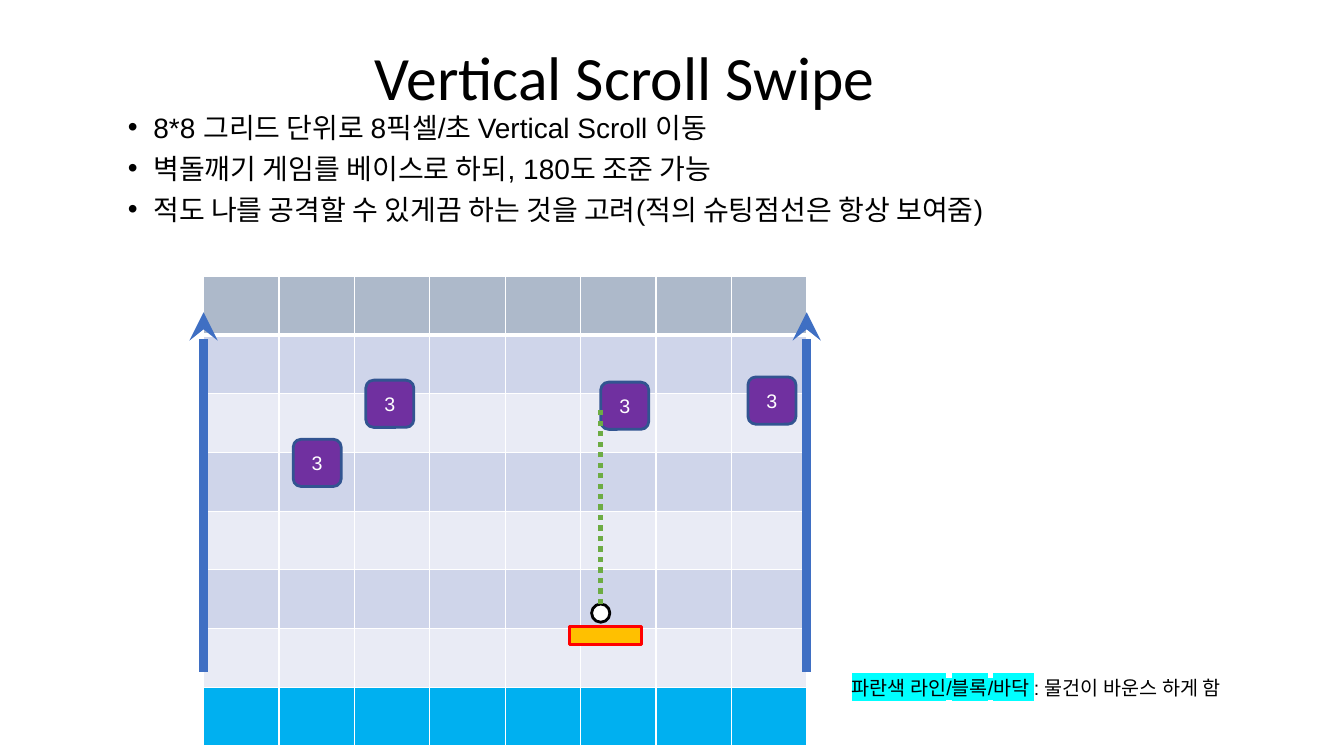
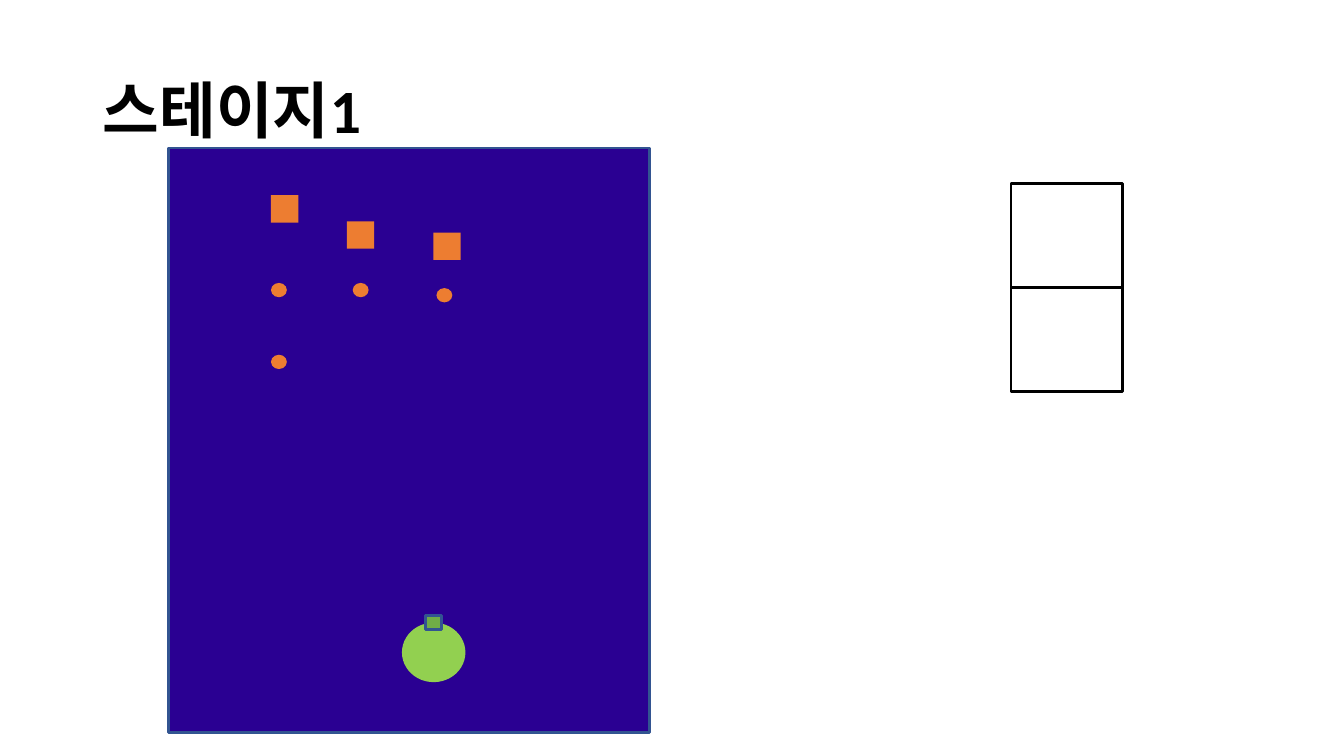
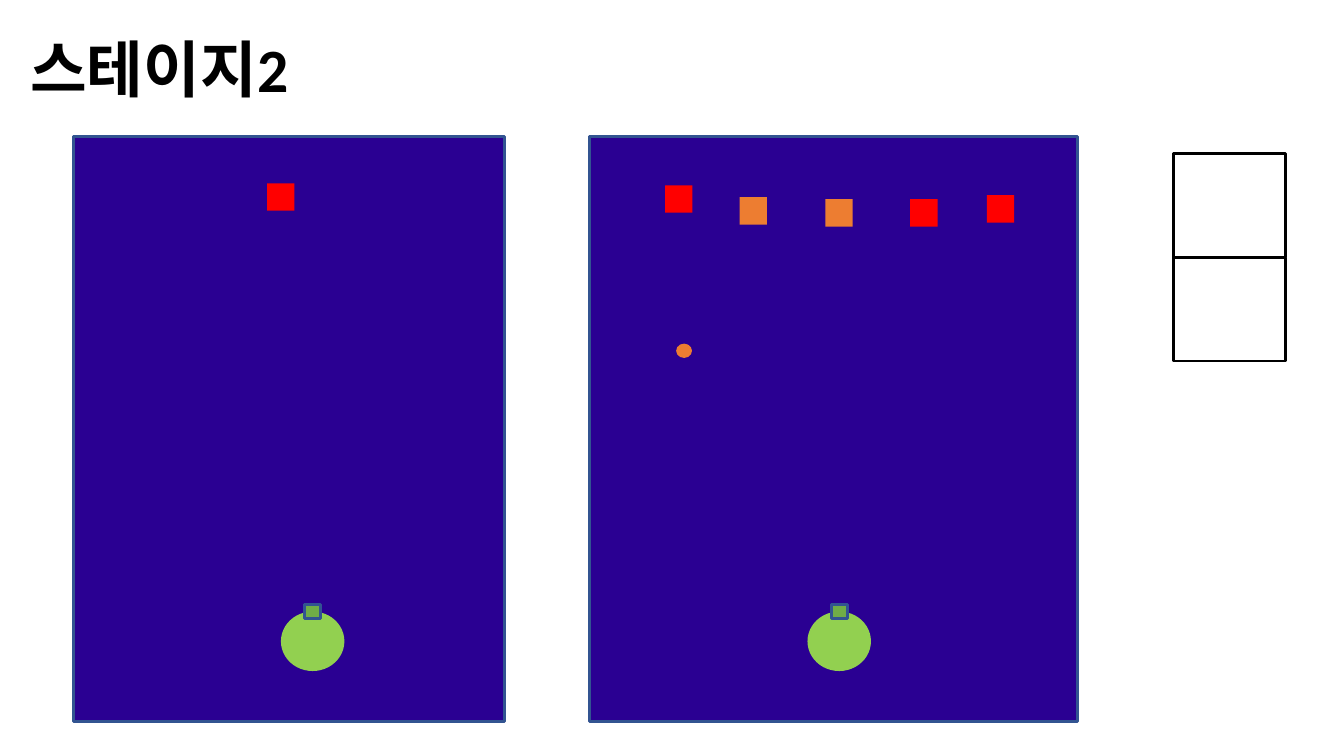
import pptx
import pptx.util
import pptx.dml.color
import pptx.enum.dml
import pptx.enum.shapes
import pptx.enum.text
import pptx.oxml
from dataclasses import dataclass

Cm = pptx.util.Cm
SHAPE = pptx.enum.shapes.MSO_SHAPE
ALIGN = pptx.enum.text.PP_ALIGN
ANCHOR = pptx.enum.text.MSO_ANCHOR
DRAWING_NS = 'xmlns:a="http://schemas.openxmlformats.org/drawingml/2006/main"'


@dataclass(frozen=True)
class Theme:
    heading_font: str = "Calibri"
    body_font: str = "Arial"
    title_size: float = 44
    list_size: float = 20
    label_size: float = 14
    outline_width: float = 2
    black: str = "000000"
    white: str = "FFFFFF"
    outline: str = "325491"
    red: str = "FF0000"
    orange: str = "ED7D31"
    field: str = "2A0092"
    tank: str = "92D050"
    turret: str = "70AD47"
    brick: str = "7030A0"
    paddle: str = "FFC000"
    rail: str = "3F6FC3"
    aim: str = "6DAC43"
    sky: str = "ADB9CA"
    sea: str = "00B0F0"
    row_dark: str = "CFD5EA"
    row_light: str = "E9EBF5"
    highlight: str = "00FFFF"


THEME = Theme()
TITLE_SIZE = (29.21, 3.68)
CELL_WIDTH, CELL_HEIGHT, GRID_COUNT = 1.9, 1.48, 8
ENEMY_SIZE = (0.69, 0.69)
SHOT_SIZE = (0.4, 0.36)
TANK_TOP, TANK_WIDTH, TANK_HEIGHT = 11.96, 1.6, 1.5
FIELD_HEIGHT = 14.73


def rgb(value):
    return pptx.dml.color.RGBColor.from_string(value)


def write(frame, text, *, size, font=THEME.body_font, color=THEME.black, bold=False,
          align=ALIGN.LEFT, anchor=ANCHOR.TOP, line_spacing=1.0, space_before=0,
          indent=None, highlighted=""):
    """Fill a text frame, one paragraph per line; a highlighted lead may come first."""
    frame.word_wrap = True
    frame.auto_size = pptx.enum.text.MSO_AUTO_SIZE.NONE
    frame.vertical_anchor = anchor
    for index, line in enumerate(text.split("\n")):
        para = frame.add_paragraph() if index else frame.paragraphs[0]
        para.alignment = align
        para.line_spacing = line_spacing
        para.space_before = pptx.util.Pt(space_before if index else 0)
        if indent:
            properties = para._p.get_or_add_pPr()
            properties.set("marL", str(Cm(indent)))
            properties.set("indent", str(-Cm(indent)))
        lead = highlighted if index == 0 else ""
        for part in filter(None, (lead, line)):
            span = para.add_run()
            span.text = part
            span.font.size = pptx.util.Pt(size)
            span.font.bold = bold
            span.font.color.rgb = rgb(color)
            if part == lead:
                mark = pptx.oxml.parse_xml(
                    f'<a:highlight {DRAWING_NS}><a:srgbClr val="{THEME.highlight}"/></a:highlight>')
                span._r.rPr.append(mark)
            span.font.name = font


def place(box, left, top, width, height):
    box.left, box.top, box.width, box.height = map(Cm, (left, top, width, height))


def add_block(page, kind, left, top, width, height, fill, line=None):
    box = page.shapes.add_shape(kind, Cm(left), Cm(top), Cm(width), Cm(height))
    box.shadow.inherit = False
    box.fill.solid()
    box.fill.fore_color.rgb = rgb(fill)
    if line:
        box.line.color.rgb = rgb(line)
        box.line.width = pptx.util.Pt(THEME.outline_width)
    else:
        box.line.fill.background()
    return box


def add_line(page, start, end, color, width):
    line = page.shapes.add_connector(pptx.enum.shapes.MSO_CONNECTOR.STRAIGHT,
                                     *map(Cm, (*start, *end)))
    line.line.color.rgb = rgb(color)
    line.line.width = pptx.util.Pt(width)
    line._element.spPr.append(pptx.oxml.parse_xml(f'<a:effectLst {DRAWING_NS}/>'))
    return line


def add_page(deck, layout, title, left, top, **title_format):
    page = deck.slides.add_slide(deck.slide_layouts[layout])
    place(page.shapes.title, left, top, *TITLE_SIZE)
    write(page.shapes.title.text_frame, title, size=THEME.title_size,
          font=THEME.heading_font, anchor=ANCHOR.MIDDLE, line_spacing=0.9, **title_format)
    return page


def add_grid(page, left, top):
    """Board cells: sky on top, banded rows, sea at the bottom."""
    grid = page.shapes.add_table(GRID_COUNT, GRID_COUNT, Cm(left), Cm(top),
                                 Cm(CELL_WIDTH * GRID_COUNT),
                                 Cm(CELL_HEIGHT * GRID_COUNT)).table
    bands = [THEME.sky] + [THEME.row_dark, THEME.row_light] * 3 + [THEME.sea]
    for row, color in zip(grid.rows, bands):
        row.height = Cm(CELL_HEIGHT)
        for cell in row.cells:
            cell.fill.solid()
            cell.fill.fore_color.rgb = rgb(color)

    # Thick rule under the sky row
    for cell in grid.rows[0].cells:
        cell._tc.get_or_add_tcPr().insert(0, pptx.oxml.parse_xml(
            f'<a:lnB {DRAWING_NS} w="{pptx.util.Pt(3)}"><a:solidFill>'
            f'<a:srgbClr val="{THEME.white}"/></a:solidFill></a:lnB>'))


def add_board(page, left, top):
    add_grid(page, left, top)

    # Numbered bricks
    bricks = []
    for x, y in ((4.09, 2.62), (10.01, 2.67), (13.72, 2.54), (2.26, 4.11)):
        brick = add_block(page, SHAPE.ROUNDED_RECTANGLE, left + x, top + y, 1.21, 1.19,
                          THEME.brick, THEME.outline)
        write(brick.text_frame, "3", size=THEME.label_size, color=THEME.white,
              align=ALIGN.CENTER, anchor=ANCHOR.MIDDLE)
        bricks.append(brick)

    # Scroll rails on both sides
    for x in (left, left + CELL_WIDTH * GRID_COUNT):
        rail = add_line(page, (x, top + 0.91), (x, top + 9.98), THEME.rail, 6.75)
        rail.line._get_or_add_ln().append(
            pptx.oxml.parse_xml(f'<a:headEnd {DRAWING_NS} type="stealth"/>'))

    # Paddle, ball and aiming line
    add_block(page, SHAPE.RECTANGLE, left + 9.23, top + 8.83, 1.8, 0.46,
              THEME.paddle, THEME.red)
    ball = add_block(page, SHAPE.OVAL, left + 9.78, top + 8.26, 0.46, 0.46,
                     THEME.white, THEME.black)
    aim = add_line(page, (left + 10.01, top + 8.26), (left + 10.01, top + 3.27),
                   THEME.aim, 3.75)
    aim.line.dash_style = pptx.enum.dml.MSO_LINE.ROUND_DOT
    aim.begin_connect(ball, 0)
    aim.end_connect(bricks[1], 1)


def add_field(page, left, top, width, tank_left, enemies, shots=()):
    """Play field with enemies (x, y, colour), shots (x, y) and the tank."""
    add_block(page, SHAPE.RECTANGLE, left, top, width, FIELD_HEIGHT,
              THEME.field, THEME.outline)
    for x, y, color in enemies:
        add_block(page, SHAPE.RECTANGLE, left + x, top + y, *ENEMY_SIZE, color)
    for x, y in shots:
        add_block(page, SHAPE.OVAL, left + x, top + y, *SHOT_SIZE, THEME.orange)
    tank_left, tank_top = left + tank_left, top + TANK_TOP
    add_block(page, SHAPE.OVAL, tank_left, tank_top, TANK_WIDTH, TANK_HEIGHT, THEME.tank)
    add_block(page, SHAPE.RECTANGLE, tank_left + (TANK_WIDTH - SHOT_SIZE[0]) / 2,
              tank_top - SHOT_SIZE[1] / 2, *SHOT_SIZE, THEME.turret, THEME.outline)


def add_slots(page, left, top, width=2.82, height=2.62):
    for index in range(2):
        add_block(page, SHAPE.RECTANGLE, left, top + index * height, width, height,
                  THEME.white, THEME.black)


def build_rules_page(deck):
    page = add_page(deck, 1, "Vertical Scroll Swipe", 1.14, 0.2, align=ALIGN.CENTER)
    body = page.placeholders[1]
    place(body, 2.97, 2.82, 25.96, 5.08)
    write(body.text_frame,
          "8*8 그리드 단위로 8픽셀/초 Vertical Scroll 이동\n"
          "벽돌깨기 게임를 베이스로 하되, 180도 조준 가능\n"
          "적도 나를 공격할 수 있게끔 하는 것을 고려(적의 슈팅점선은 항상 보여줌)",
          size=THEME.list_size, line_spacing=0.8, space_before=10, indent=0.64)
    add_board(page, 5.13, 6.96)
    caption = page.shapes.add_textbox(Cm(21.21), Cm(17.02), Cm(11.02), Cm(0.74))
    write(caption.text_frame, ": 물건이 바운스 하게 함", highlighted="파란색 라인/블록/바닥 ",
          size=THEME.label_size, line_spacing=0.8)


def build_stage_one(deck):
    page = add_page(deck, 5, "스테이지1", 2.34, 1.02, bold=True)
    add_field(page, 4.24, 3.73, 12.14, 5.89,
              enemies=[(2.59, 1.19, THEME.orange), (4.5, 1.85, THEME.orange),
                       (6.68, 2.13, THEME.orange)],
              shots=[(2.59, 3.4), (4.65, 3.4), (6.76, 3.53), (2.59, 5.21)])
    add_slots(page, 25.48, 4.62)


def build_stage_two(deck):
    page = add_page(deck, 5, "스테이지2", 0.51, 0, bold=True)
    add_field(page, 1.85, 3.45, 10.87, 5.23, enemies=[(4.88, 1.17, THEME.red)])
    add_field(page, 14.86, 3.45, 12.29, 5.49,
              enemies=[(1.9, 1.22, THEME.red), (3.78, 1.52, THEME.orange),
                       (5.94, 1.57, THEME.orange), (8.08, 1.57, THEME.red),
                       (10.01, 1.47, THEME.red)],
              shots=[(2.18, 5.21)])
    add_slots(page, 29.57, 3.86)


def main():
    deck = pptx.Presentation()
    deck.slide_width, deck.slide_height = Cm(33.87), Cm(19.05)
    build_rules_page(deck)
    build_stage_one(deck)
    build_stage_two(deck)
    deck.save("out.pptx")


if __name__ == "__main__":
    main()
